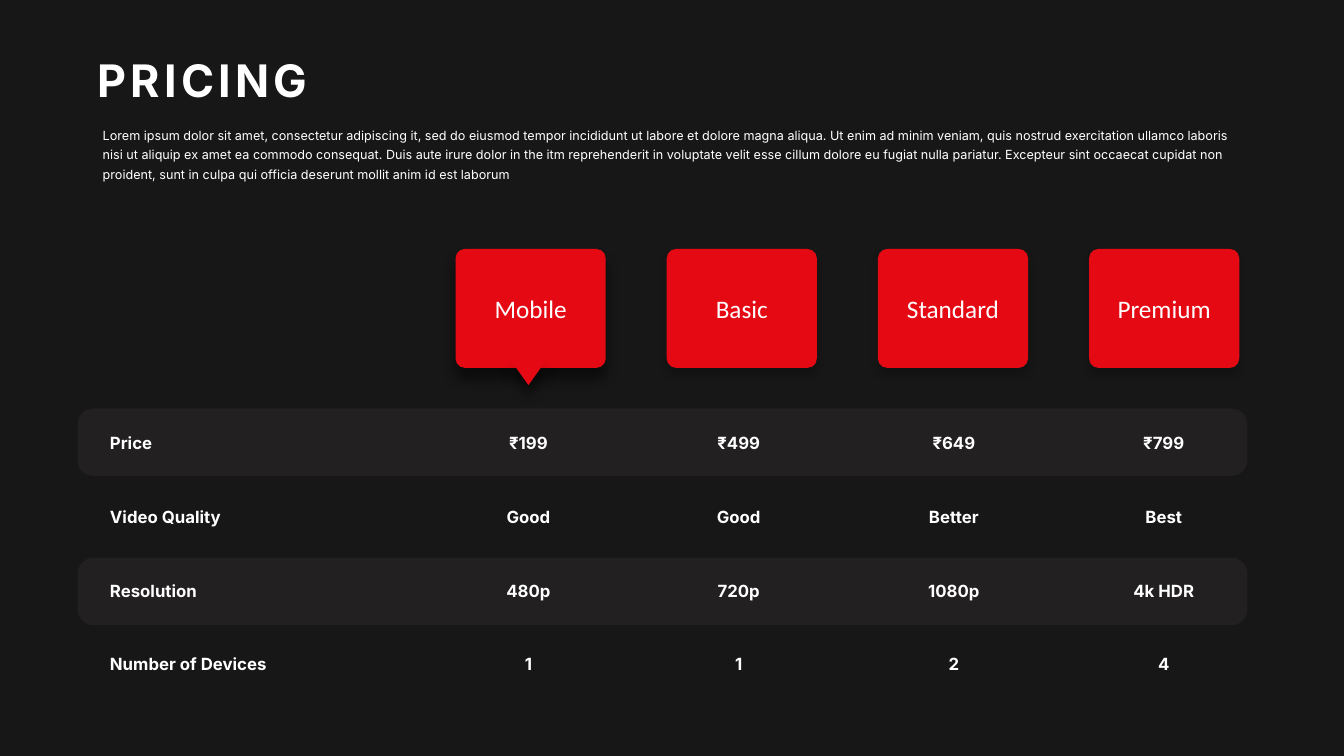
from lxml.etree import SubElement
from pptx import Presentation
from pptx.dml.color import RGBColor
from pptx.enum.shapes import MSO_SHAPE as Shape
from pptx.enum.text import MSO_ANCHOR as Anchor, MSO_AUTO_SIZE as AutoSize, PP_ALIGN as Align
from pptx.oxml.ns import qn
from pptx.util import Pt

COLORS = {
    "background": "181717",
    "stripe": "3B3838",
    "card": "E50914",
    "text": "FFFFFF",
    "shadow": "000000",
}
PLANS = ["Mobile", "Basic", "Standard", "Premium"]
FEATURES = [
    ("Price", ["₹199", "₹499", "₹649", "₹799"]),
    ("Video Quality", ["Good", "Good", "Better", "Best"]),
    ("Resolution", ["480p", "720p", "1080p", "4k HDR"]),
    ("Number of Devices", ["1", "1", "2", "4"]),
]
DESCRIPTION = (
    "Lorem ipsum dolor sit amet, consectetur adipiscing it, sed do eiusmod tempor "
    "incididunt ut labore et dolore magna aliqua. Ut enim ad minim veniam, quis nostrud "
    "exercitation ullamco laboris nisi ut aliquip ex amet ea commodo consequat. Duis aute "
    "irure dolor in the itm reprehenderit in voluptate velit esse cillum dolore eu fugiat "
    "nulla pariatur. Excepteur sint occaecat cupidat non proident, sunt in culpa qui "
    "officia deserunt mollit anim id est laborum"
)
STRONG_SHADOW = {"alpha": 50, "blur": 9, "distance": 8}
SOFT_SHADOW = {"alpha": 20, "blur": 6, "distance": 5}


def color(name):
    return RGBColor.from_string(COLORS[name])


def place(shape, left, top, width, height):
    shape.left, shape.top = Pt(left), Pt(top)
    shape.width, shape.height = Pt(width), Pt(height)


def remove_bullet(paragraph):
    properties = paragraph._p.get_or_add_pPr()
    properties.set("marL", "0")
    properties.set("indent", "0")
    SubElement(properties, qn("a:buNone"))


def write(shape, text, size, font="Inter", bold=False, align=Align.LEFT, anchor=Anchor.TOP,
          bulleted=True):
    frame = shape.text_frame
    frame.word_wrap = True
    frame.auto_size = AutoSize.NONE
    frame.vertical_anchor = anchor
    frame.text = text
    paragraph = frame.paragraphs[0]
    if not bulleted:
        remove_bullet(paragraph)
    paragraph.alignment = align
    paragraph.font.name = font
    paragraph.font.size = Pt(size)
    paragraph.font.bold = bold
    paragraph.font.color.rgb = color("text")
    return paragraph


def add_filled(slide, kind, left, top, width, height, fill):
    shape = slide.shapes.add_shape(kind, Pt(left), Pt(top), Pt(width), Pt(height))
    shape.shadow.inherit = False
    shape.fill.solid()
    shape.fill.fore_color.rgb = color(fill)
    shape.line.fill.background()
    return shape


def add_shadow(shape, alpha, blur, distance):
    effects = shape._element.spPr.find(qn("a:effectLst"))
    shadow = SubElement(effects, qn("a:outerShdw"), blurRad=str(Pt(blur)),
                        dist=str(Pt(distance)), dir="5400000", algn="t", rotWithShape="0")
    tint = SubElement(shadow, qn("a:srgbClr"), val=COLORS["shadow"])
    SubElement(tint, qn("a:alpha"), val=str(alpha * 1000))


def build_header(slide, left, top, width):
    title = slide.shapes.title
    place(title, left, top, 168.5, 46)
    paragraph = write(title, "PRICING", 32, bold=True)
    title.text_frame.word_wrap = False
    paragraph.runs[0]._r.get_or_add_rPr().set("spc", "300")

    body = slide.placeholders[1]
    place(body, left + 3.6, top + 50.4, width - 3.6, 48.2)
    paragraph = write(body, DESCRIPTION, 9, bulleted=False)
    paragraph.line_spacing = 1.3
    paragraph.space_before = Pt(0)


def build_cards(slide, left, top, width, height):
    card_width = 107.3
    pitch = (width - card_width) / (len(PLANS) - 1)
    for index, plan in enumerate(PLANS):
        card = add_filled(slide, Shape.ROUNDED_RECTANGLE, left + index * pitch, top,
                          card_width, height, "card")
        card.adjustments[0] = 0.08
        add_shadow(card, **(SOFT_SHADOW if index else STRONG_SHADOW))
        write(card, plan, 18, "Calibri", align=Align.CENTER, anchor=Anchor.MIDDLE)
    pointer = add_filled(slide, Shape.ISOSCELES_TRIANGLE, left + 39.8, top + height - 5,
                         24.5, 17.3, "card")
    pointer.rotation = 180
    add_shadow(pointer, **STRONG_SHADOW)


def build_features(slide, left, top, width):
    centers = [322.1, 472.3, 626, 775.9]
    row_pitch, stripe_pitch, cell_width, cell_height = 52.56, 53.3, 80, 21.8
    for row, (label, values) in enumerate(FEATURES):
        if row % 2 == 0:
            stripe = add_filled(slide, Shape.ROUNDED_RECTANGLE, left, top + row * stripe_pitch,
                                width, 48.2, "stripe")
            stripe.adjustments[0] = 0.235
            tint = stripe._element.spPr.find(qn("a:solidFill")).find(qn("a:srgbClr"))
            SubElement(tint, qn("a:alpha"), val="30000")
        cells = [(label, 16.1, 150, Align.LEFT)]
        cells += [(value, center - cell_width / 2, cell_width, Align.CENTER)
                  for value, center in zip(values, centers)]
        for text, offset, box_width, align in cells:
            box = slide.shapes.add_textbox(Pt(left + offset), Pt(top + 14 + row * row_pitch),
                                           Pt(box_width), Pt(cell_height))
            write(box, text, 12, bold=True, align=align)


def main():
    presentation = Presentation()
    presentation.slide_width, presentation.slide_height = Pt(960), Pt(540)
    slide = presentation.slides.add_slide(presentation.slide_layouts[1])
    slide.background.fill.solid()
    slide.background.fill.fore_color.rgb = color("background")
    build_header(slide, 62.6, 33.8, 828.7)
    build_features(slide, 55.4, 291.8, 835.7)
    build_cards(slide, 325.4, 177.8, 559.8, 85)
    presentation.save("out.pptx")


if __name__ == "__main__":
    main()
